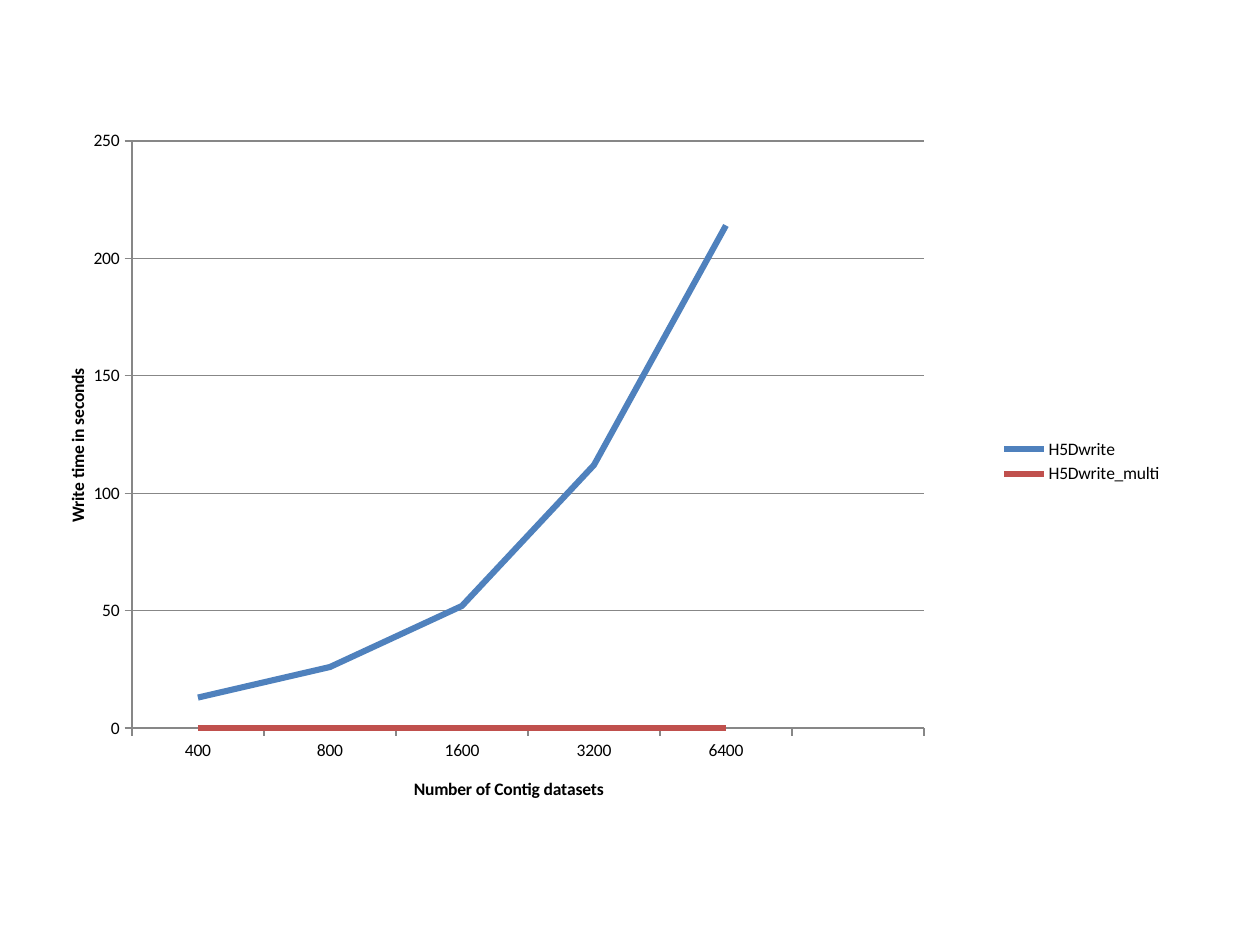
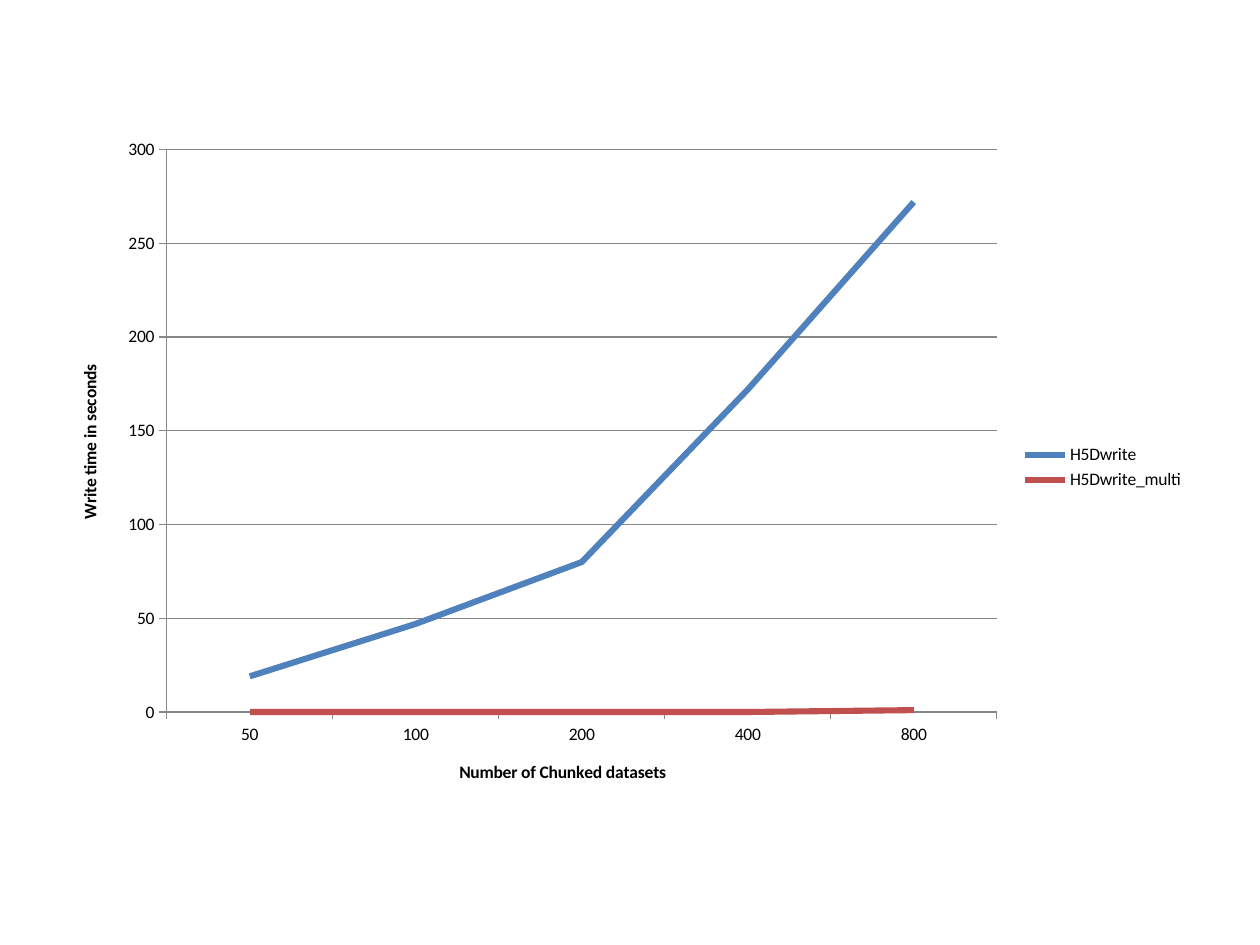
from lxml import etree
from pptx import Presentation, util as u
from pptx.chart.data import CategoryChartData
from pptx.dml.color import RGBColor
from pptx.enum import chart as ec
from pptx.oxml.ns import qn

COLORS = {"text": "000000", "axis": "878787",
          "H5Dwrite": "4F81BD", "H5Dwrite_multi": "C0504D"}
FONT, SIZE = "Calibri", 10
VALUE_TITLE = "Write time in seconds"

# "plot" is the inner plot area as fractions of the chart; None is automatic.
SLIDES = [
    {"at": (0.5, 0.83, 8.83, 5.67), "title": "Number of Contig datasets",
     "cats": ["400", "800", "1600", "3200", "6400", ""], "max": 250,
     "plot": {"x": 0.062, "y": 0.051, "w": 0.712, "h": 0.822},
     "series": {"H5Dwrite": [13, 26, 52, 112, 214, None],
                "H5Dwrite_multi": [0, 0, 0, 0, 0, None]}},
    {"at": (0.42, 1, 9.08, 5.42), "title": "Number of Chunked datasets",
     "cats": ["50", "100", "200", "400", "800"], "max": 300,
     "plot": None,
     "series": {"H5Dwrite": [19, 47, 80, 172, 272],
                "H5Dwrite_multi": [0, 0, 0, 0, 1]}},
]


def style_font(font, bold=False):
    """Apply the shared chart lettering."""
    font.name, font.size, font.bold = FONT, u.Pt(SIZE), bold
    font.color.rgb = RGBColor.from_string(COLORS["text"])


def style_line(line, color, width):
    """Set a line's colour and its width in points."""
    line.color.rgb = RGBColor.from_string(COLORS[color])
    line.width = u.Pt(width)


def style_axis(axis, title):
    """Give an axis its title, outside ticks and grey line."""
    axis.major_tick_mark = ec.XL_TICK_MARK.OUTSIDE
    axis.minor_tick_mark = ec.XL_TICK_MARK.NONE
    style_line(axis.format.line, "axis", 0.75)
    tf = axis.axis_title.text_frame
    tf.text = title
    style_font(tf.paragraphs[0].runs[0].font, bold=True)
    return tf


def place_plot(chart, box):
    """Fix the inner plot area by fractions of the chart."""
    area = chart._chartSpace.find(".//" + qn("c:plotArea"))
    for old in area.findall(qn("c:layout")):
        area.remove(old)
    layout = etree.Element(qn("c:layout"))
    manual = etree.SubElement(layout, qn("c:manualLayout"))
    values = {"layoutTarget": "inner", "xMode": "edge", "yMode": "edge", **box}
    for tag, value in values.items():
        etree.SubElement(manual, qn("c:" + tag)).set("val", str(value))
    area.insert(0, layout)


def add_line_chart(s, item):
    """Add one timing chart to a slide."""
    data = CategoryChartData()
    data.categories = item["cats"]
    for name, values in item["series"].items():
        data.add_series(name, values)
    box = [u.Inches(v) for v in item["at"]]
    chart = s.shapes.add_chart(ec.XL_CHART_TYPE.LINE, *box, data).chart
    chart.has_title = False
    style_font(chart.font)
    chart.has_legend = True
    chart.legend.position = ec.XL_LEGEND_POSITION.RIGHT
    chart.legend.include_in_layout = False

    style_axis(chart.category_axis, item["title"])
    axis = chart.value_axis
    tf = style_axis(axis, VALUE_TITLE)
    body = tf._txBody.find(qn("a:bodyPr"))
    body.set("rot", "-5400000")
    body.set("vert", "horz")
    axis.minimum_scale, axis.maximum_scale, axis.major_unit = 0, item["max"], 50
    axis.has_major_gridlines = True
    style_line(axis.major_gridlines.format.line, "axis", 0.75)

    plot = chart.plots[0]
    plot.vary_by_categories = False
    for series in plot.series:
        series.smooth = False
        style_line(series.format.line, series.name, 3.5)
    if item["plot"]:
        place_plot(chart, item["plot"])


prs = Presentation()
prs.slide_width, prs.slide_height = u.Inches(10), u.Inches(7.5)
for item in SLIDES:
    add_line_chart(prs.slides.add_slide(prs.slide_layouts[6]), item)
prs.save("out.pptx")
